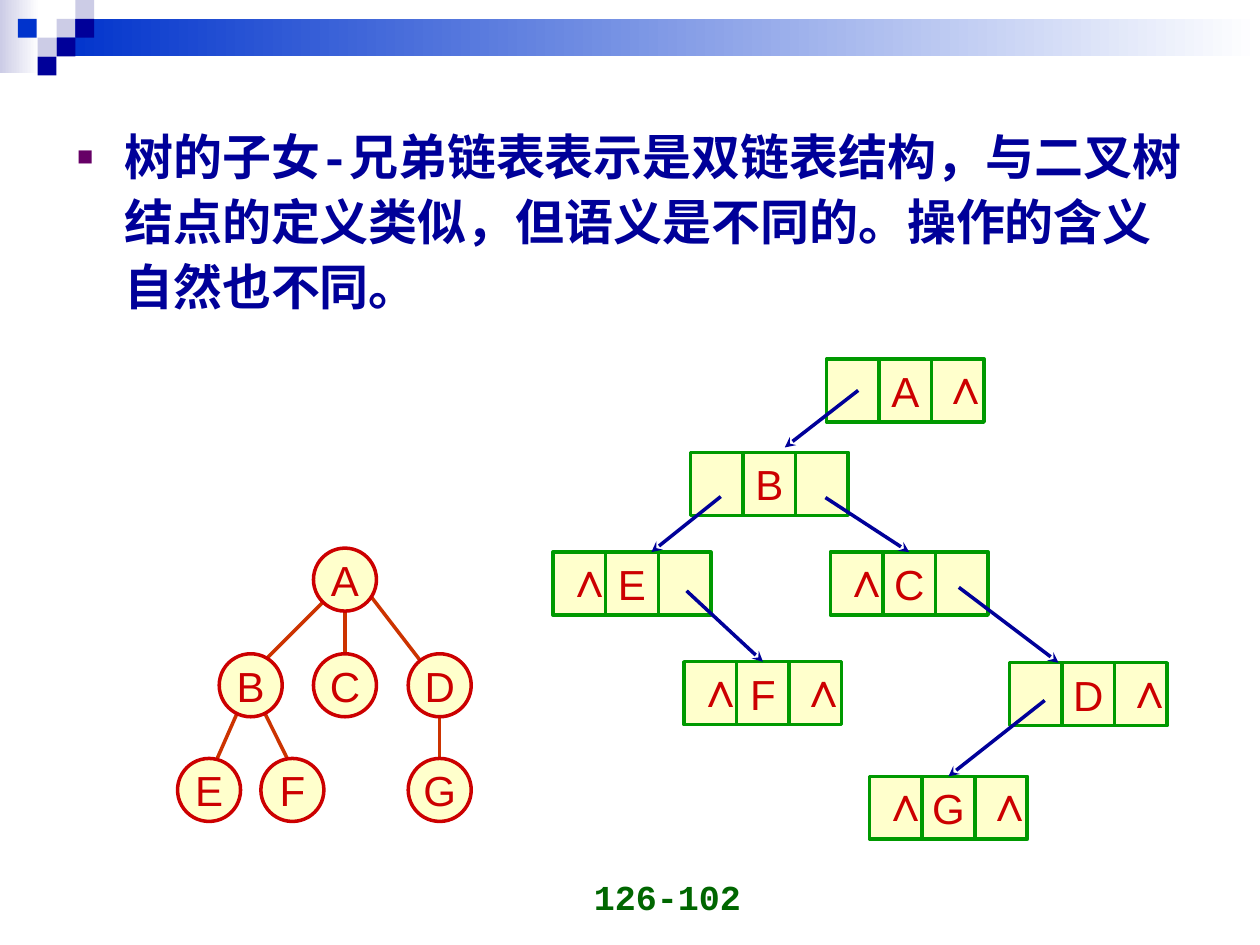
from pptx import Presentation
from pptx.dml.color import RGBColor
from pptx.enum.shapes import MSO_CONNECTOR, MSO_SHAPE
from pptx.enum.text import MSO_ANCHOR, MSO_AUTO_SIZE, PP_ALIGN
from pptx.oxml import parse_xml
from pptx.oxml.ns import nsdecls
from pptx.util import Cm, Pt

WHITE = RGBColor(0xFF, 0xFF, 0xFF)
LAVENDER = RGBColor(0xCC, 0xCC, 0xE6)
BLUE = RGBColor(0x00, 0x33, 0xCC)
NAVY = RGBColor(0x00, 0x00, 0x99)
CREAM = RGBColor(0xFF, 0xFF, 0xCC)
RED = RGBColor(0xCC, 0x00, 0x00)
ORANGE = RGBColor(0xCC, 0x33, 0x00)
GREEN = RGBColor(0x00, 0x99, 0x00)
DARK_GREEN = RGBColor(0x00, 0x66, 0x00)

LETTER = {"name": "Arial", "size": Pt(24), "bold": False}
NULL_MARK = {"name": "Arial", "size": Pt(28), "bold": True}
NUMBER = {"name": "Courier New", "size": Pt(20), "bold": True}
BODY = {"name": "Arial", "size": Pt(28), "bold": True}

prs = Presentation()
prs.slide_width, prs.slide_height = Cm(25.4), Cm(19.05)
s = prs.slides.add_slide(prs.slide_layouts[1])
s.shapes.title.element.getparent().remove(s.shapes.title.element)


def add_line(x1, y1, x2, y2, color, arrow=False):
    c = s.shapes.add_connector(MSO_CONNECTOR.STRAIGHT, Cm(x1), Cm(y1), Cm(x2), Cm(y2))
    c.line.color.rgb, c.line.width = color, Pt(2)
    c.element.spPr.append(parse_xml(f"<a:effectLst {nsdecls('a')}/>"))
    if arrow:
        c.line._get_or_add_ln().append(
            parse_xml(f'<a:tailEnd {nsdecls("a")} type="stealth"/>'))
    return c


def add_text(sp, text, style, color, align=PP_ALIGN.CENTER, anchor=MSO_ANCHOR.MIDDLE):
    tf = sp.text_frame
    tf.word_wrap, tf.vertical_anchor = True, anchor
    p = tf.paragraphs[0]
    p.alignment = align
    r = p.add_run()
    r.text = text
    for name, value in style.items():
        setattr(r.font, name, value)
    r.font.color.rgb = color


# Header: two fading bars and a mosaic of small squares
SQ = 0.38
header = [
    (0, 0, 0.79, 1.47, LAVENDER, True),
    (1.14, SQ, 24.26, 0.76, BLUE, True),
    (0.36, SQ, SQ, SQ, BLUE, False),
]
mosaic = [(3, 1, LAVENDER), (4, 0, LAVENDER), (4, 1, NAVY),
          (2, 2, LAVENDER), (3, 2, NAVY), (2, 3, NAVY)]
header += [(col * SQ, row * SQ, SQ, SQ, color, False) for col, row, color in mosaic]
for x, y, w, h, color, fades in header:
    sp = s.shapes.add_shape(MSO_SHAPE.RECTANGLE, Cm(x), Cm(y), Cm(w), Cm(h))
    sp.shadow.inherit = False
    sp.line.fill.background()
    if fades:
        sp.fill.gradient()
        sp.fill.gradient_angle = 0
        for stop, stop_color, position in zip(sp.fill.gradient_stops, (color, WHITE), (0, 1)):
            stop.color.rgb, stop.position = stop_color, position
    else:
        sp.fill.solid()
        sp.fill.fore_color.rgb = color

# Page number
sp = s.shapes.add_textbox(Cm(9.27), Cm(17.35), Cm(5.92), Cm(1.27))
add_text(sp, "126-102", NUMBER, DARK_GREEN, PP_ALIGN.RIGHT, MSO_ANCHOR.BOTTOM)

# Tree: edges first, circles over their ends
edges = [
    (8.86, 14.22, 8.86, 15.72), (7.39, 11.91, 8.86, 13.82),
    (5.26, 14.22, 5.89, 15.49), (4.85, 14.22, 4.29, 15.49),
    (6.53, 12.12, 5.26, 13.39), (6.96, 12.12, 6.96, 13.39),
]
for edge in edges:
    add_line(*edge, ORANGE)

DIAMETER = 1.27
circles = {
    "A": (6.32, 11.05), "B": (4.42, 13.18), "C": (6.32, 13.18), "D": (8.23, 13.18),
    "E": (3.58, 15.29), "F": (5.26, 15.29), "G": (8.23, 15.29),
}
for letter, (x, y) in circles.items():
    sp = s.shapes.add_shape(MSO_SHAPE.OVAL, Cm(x), Cm(y), Cm(DIAMETER), Cm(DIAMETER))
    sp.shadow.inherit = False
    sp.fill.solid()
    sp.fill.fore_color.rgb = CREAM
    sp.line.color.rgb, sp.line.width = RED, Pt(2)
    for side in ("left", "right", "top", "bottom"):
        setattr(sp.text_frame, f"margin_{side}", 0)
    add_text(sp, letter, LETTER, RED)

# Linked list nodes: left corner, then whether the child and sibling links are null
NODE_W, NODE_H = 3.18, 1.27
nodes = {
    "A": (16.66, 7.24, False, True), "B": (13.92, 9.12, False, False),
    "E": (11.15, 11.13, True, False), "C": (16.74, 11.13, True, False),
    "F": (13.79, 13.34, True, True), "D": (20.35, 13.36, False, True),
    "G": (17.53, 15.65, True, True),
}
boxes = {}
for letter, (x, y, no_child, no_sibling) in nodes.items():
    sp = s.shapes.add_shape(MSO_SHAPE.RECTANGLE, Cm(x), Cm(y), Cm(NODE_W), Cm(NODE_H))
    sp.shadow.inherit = False
    sp.fill.solid()
    sp.fill.fore_color.rgb = CREAM
    sp.line.color.rgb, sp.line.width = GREEN, Pt(2)
    add_text(sp, letter, LETTER, RED)
    boxes[letter] = sp
    for third in (1, 2):
        divider = x + third * NODE_W / 3
        add_line(divider, y, divider, y + NODE_H, GREEN)
    for is_null, offset in ((no_child, 0), (no_sibling, 2.08)):
        if is_null:
            mark = s.shapes.add_textbox(Cm(x + offset), Cm(y - 0.2), Cm(1.17), Cm(1.45))
            add_text(mark, "∧", NULL_MARK, RED)

# Links between nodes; a named target is joined at the middle of its top side
links = [
    (17.3, 7.87, 15.82, 9.02, None), (14.53, 10.01, 13.13, 11.13, None),
    (19.33, 11.84, 21.34, 13.36, None), (16.64, 10.03, 18.33, 11.13, "C"),
    (13.84, 11.91, 15.38, 13.34, "F"), (21.06, 14.12, 19.12, 15.65, "G"),
]
for x1, y1, x2, y2, target in links:
    c = add_line(x1, y1, x2, y2, NAVY, arrow=True)
    if target:
        c.end_connect(boxes[target], 0)

# Body text
sp = s.placeholders[1]
sp.left, sp.top, sp.width, sp.height = Cm(1.3), Cm(2.31), Cm(22.86), Cm(4.8)
tf = sp.text_frame
tf.auto_size, tf.vertical_anchor = MSO_AUTO_SIZE.NONE, MSO_ANCHOR.TOP
p = tf.paragraphs[0]
pPr = p._p.get_or_add_pPr()
pPr.set("marL", str(Cm(0.95)))
pPr.set("indent", str(Cm(-0.95)))
for bullet in ('<a:buClr {}><a:srgbClr val="660066"/></a:buClr>', '<a:buSzPct {} val="55000"/>',
               '<a:buFont {} typeface="Arial"/>', '<a:buChar {} char="■"/>'):
    pPr.append(parse_xml(bullet.format(nsdecls("a"))))
p.line_spacing, p.space_before = 1.1, Pt(0)
runs = [
    ("树的子女", "Arial"),
    ("-", "Courier New"),
    ("兄弟链表表示是双链表结构，与二叉树结点的定义类似，但语义是不同的。操作的含义自然也不同。", "Arial"),
]
for text, font_name in runs:
    r = p.add_run()
    r.text = text
    for name, value in (BODY | {"name": font_name}).items():
        setattr(r.font, name, value)
    r.font.color.rgb = NAVY

prs.save("out.pptx")
